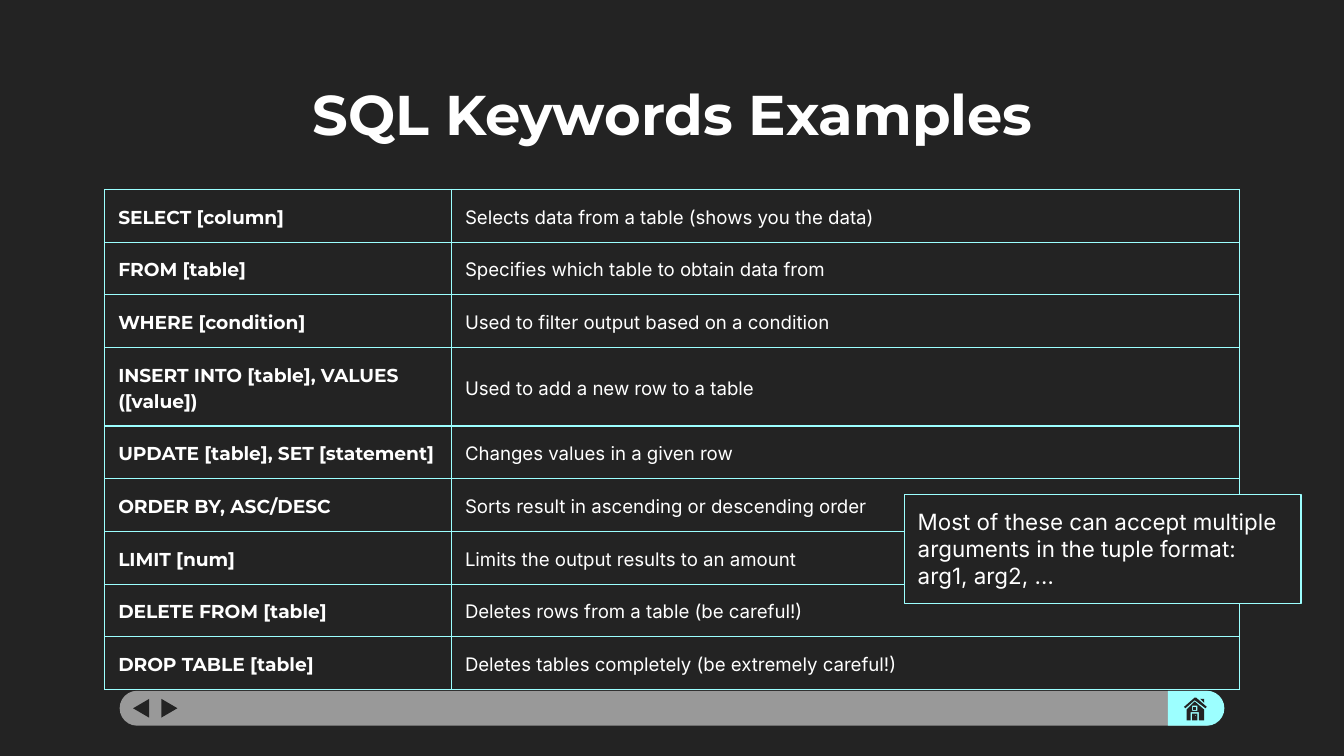
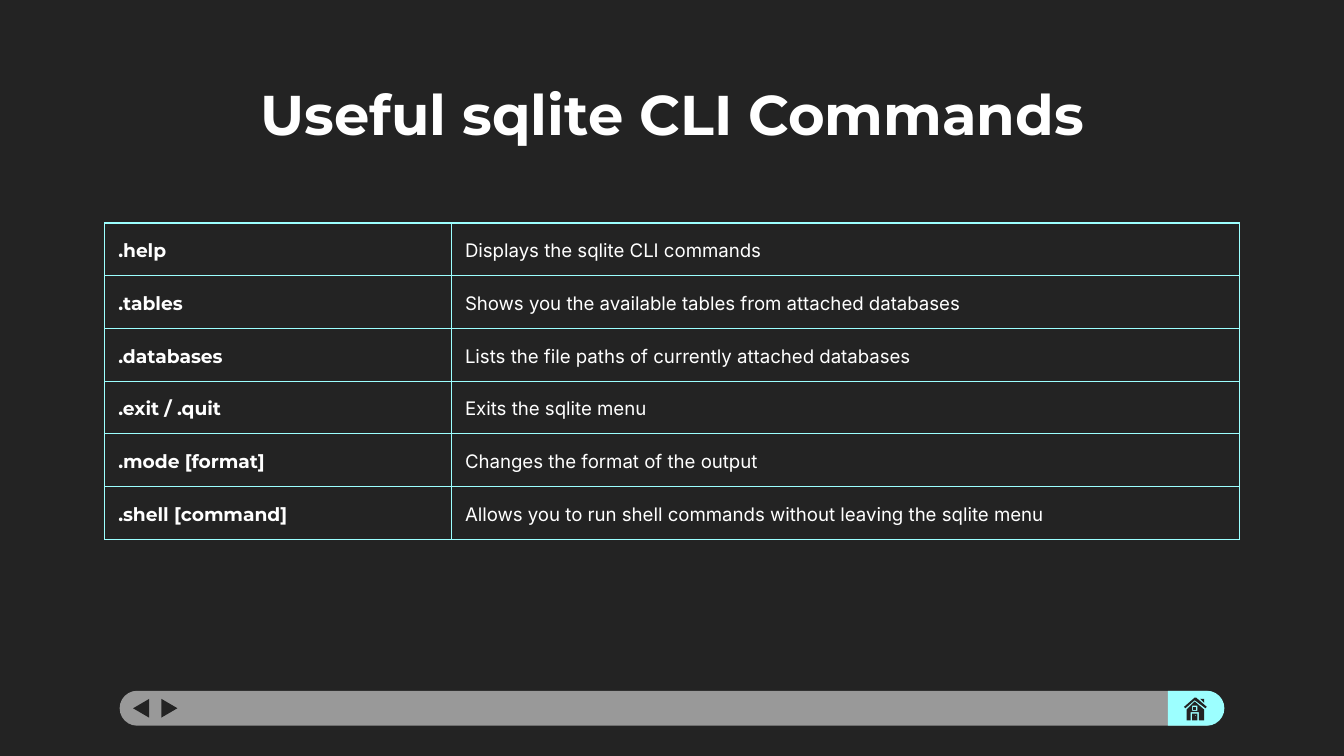
import lxml.etree
import pptx
import pptx.dml.color
import pptx.enum.shapes
import pptx.enum.text
import pptx.oxml.ns
import pptx.util

Inches = pptx.util.Inches
Pt = pptx.util.Pt
qn = pptx.oxml.ns.qn
RGBColor = pptx.dml.color.RGBColor
SHAPE = pptx.enum.shapes.MSO_SHAPE
ALIGN = pptx.enum.text.PP_ALIGN
ANCHOR = pptx.enum.text.MSO_ANCHOR

DARK = RGBColor(0x23, 0x23, 0x23)
WHITE = RGBColor(0xFF, 0xFF, 0xFF)
GRAY = RGBColor(0x99, 0x99, 0x99)
CYAN = RGBColor(0x9C, 0xFF, 0xFF)
HEADING_FONT = "Montserrat"
BODY_FONT = "Inter"
LINE_WIDTH = Pt(0.75)
INSET = Inches(0.1)
COLUMN_WIDTHS = (2.58, 5.86)
ROW_HEIGHT = 0.38

HUNDREDTH = Inches(0.01)
CHIMNEY = [[(893, 520), (896, 523), (896, 520)]]
DOOR = [
    [(887, 531), (887, 536), (891, 536), (891, 531)],
    [(890, 532), (890, 533), (889, 532)],
]
WINDOW = [[(888, 526), (888, 528), (890, 528), (890, 526)]]
ROOF = [[(889, 519), (881, 526), (882, 527), (889, 521), (897, 527), (898, 526), (890, 519)]]
WALLS = [
    [(889, 522), (883, 528), (883, 536), (886, 536), (886, 530),
     (892, 530), (892, 536), (896, 536), (896, 528)],
    [(891, 525), (891, 529), (887, 529), (887, 525)],
]

KEYWORDS = [
    ("SELECT [column]", "Selects data from a table (shows you the data)"),
    ("FROM [table]", "Specifies which table to obtain data from"),
    ("WHERE [condition]", "Used to filter output based on a condition"),
    ("INSERT INTO [table], VALUES ([value])", "Used to add a new row to a table"),
    ("UPDATE [table], SET [statement]", "Changes values in a given row"),
    ("ORDER BY, ASC/DESC", "Sorts result in ascending or descending order"),
    ("LIMIT [num]", "Limits the output results to an amount"),
    ("DELETE FROM [table]", "Deletes rows from a table (be careful!)"),
    ("DROP TABLE [table]", "Deletes tables completely (be extremely careful!)"),
]
COMMANDS = [
    (".help", "Displays the sqlite CLI commands"),
    (".tables", "Shows you the available tables from attached databases"),
    (".databases", "Lists the file paths of currently attached databases"),
    (".exit / .quit", "Exits the sqlite menu"),
    (".mode [format]", "Changes the format of the output"),
    (".shell [command]", "Allows you to run shell commands without leaving the sqlite menu"),
]


class Deck:
    """Dark slides with a centred title, keyword tables and a navigation bar."""

    def __init__(self, prs):
        self.prs = prs
        self.s = None

    def slide(self, title):
        self.s = self.prs.slides.add_slide(self.prs.slide_layouts[6])
        self.s.background.fill.solid()
        self.s.background.fill.fore_color.rgb = DARK
        self.navigation()
        box = self.s.shapes.add_textbox(Inches(0.79), Inches(0.49), Inches(8.43), Inches(0.63))
        self.text(box.text_frame, title, 30, HEADING_FONT, True, ALIGN.CENTER)

    def text(self, tf, text, size, font, bold=False, align=ALIGN.LEFT):
        tf.word_wrap = True
        tf.margin_left = tf.margin_right = tf.margin_top = tf.margin_bottom = INSET
        tf.text = text
        p = tf.paragraphs[0]
        p.alignment = align
        self.style(p, size, font, bold)

    def style(self, p, size, font, bold):
        p.font.size = Pt(size)
        p.font.name = font
        p.font.bold = bold
        p.font.color.rgb = WHITE

    def paint(self, sp, fill, line=None):
        sp.shadow.inherit = False
        sp.fill.solid()
        sp.fill.fore_color.rgb = fill
        if line is None:
            sp.line.fill.background()
        else:
            sp.line.color.rgb = line
            sp.line.width = LINE_WIDTH

    def shape(self, kind, box, fill, line=None, rotation=0, adjustments=()):
        sp = self.s.shapes.add_shape(kind, *map(Inches, box))
        sp.rotation = rotation
        for i, value in enumerate(adjustments):
            sp.adjustments[i] = value
        self.paint(sp, fill, line)
        return sp

    def outline(self, contours):
        builder = self.s.shapes.build_freeform(*contours[0][0], scale=HUNDREDTH)
        for i, points in enumerate(contours):
            if i:
                builder.move_to(*points[0])
            builder.add_line_segments(points[1:], close=True)
        self.paint(builder.convert_to_shape(), DARK)

    def navigation(self):
        self.shape(SHAPE.ROUNDED_RECTANGLE, (0.89, 5.14, 8.21, 0.26), GRAY, adjustments=(0.5,))
        self.shape(SHAPE.ROUND_2_SAME_RECTANGLE, (8.77, 5.06, 0.26, 0.42), CYAN,
                   rotation=90, adjustments=(0.5, 0))
        for left, rotation in ((0.98, 270), (1.19, 90)):
            self.shape(SHAPE.ISOSCELES_TRIANGLE, (left, 5.21, 0.14, 0.12), DARK, rotation=rotation)
        for contours in (CHIMNEY, DOOR, WINDOW, ROOF, WALLS):
            self.outline(contours)

    def border(self, cell):
        tcPr = cell._tc.get_or_add_tcPr()
        for side in ("a:lnL", "a:lnR", "a:lnT", "a:lnB"):
            ln = lxml.etree.SubElement(tcPr, qn(side), w=str(int(LINE_WIDTH)))
            fill = lxml.etree.SubElement(ln, qn("a:solidFill"))
            lxml.etree.SubElement(fill, qn("a:srgbClr"), val=str(CYAN))

    def table(self, top, rows):
        frame = self.s.shapes.add_table(
            len(rows), len(COLUMN_WIDTHS), Inches(0.78), Inches(top),
            Inches(sum(COLUMN_WIDTHS)), Inches(ROW_HEIGHT * len(rows)))
        table = frame.table
        table.first_row = table.horz_banding = False
        for column, width in zip(table.columns, COLUMN_WIDTHS):
            column.width = Inches(width)
        for r, row in enumerate(rows):
            for c, value in enumerate(row):
                cell = table.cell(r, c)
                self.border(cell)
                cell.fill.background()
                cell.vertical_anchor = ANCHOR.MIDDLE
                cell.margin_left = cell.margin_right = INSET
                cell.margin_top = cell.margin_bottom = INSET
                cell.text = value
                p = cell.text_frame.paragraphs[0]
                p.line_spacing = 1.15
                if c:
                    p.space_after = Pt(16)
                self.style(p, 10, BODY_FONT if c else HEADING_FONT, c == 0)

    def callout(self, box, text):
        sp = self.shape(SHAPE.RECTANGLE, box, DARK, CYAN)
        sp.text_frame.vertical_anchor = ANCHOR.TOP
        self.text(sp.text_frame, text, 12, BODY_FONT)


def main():
    prs = pptx.Presentation()
    prs.slide_width = Inches(10)
    prs.slide_height = prs.slide_width * 9 // 16
    deck = Deck(prs)

    deck.slide("SQL Keywords Examples")
    deck.table(1.41, KEYWORDS)
    deck.callout((6.73, 3.68, 2.95, 0.81),
                 "Most of these can accept multiple arguments in the tuple format:\varg1, arg2, …")

    deck.slide("Useful sqlite CLI Commands")
    deck.table(1.66, COMMANDS)

    prs.save("out.pptx")


if __name__ == "__main__":
    main()
